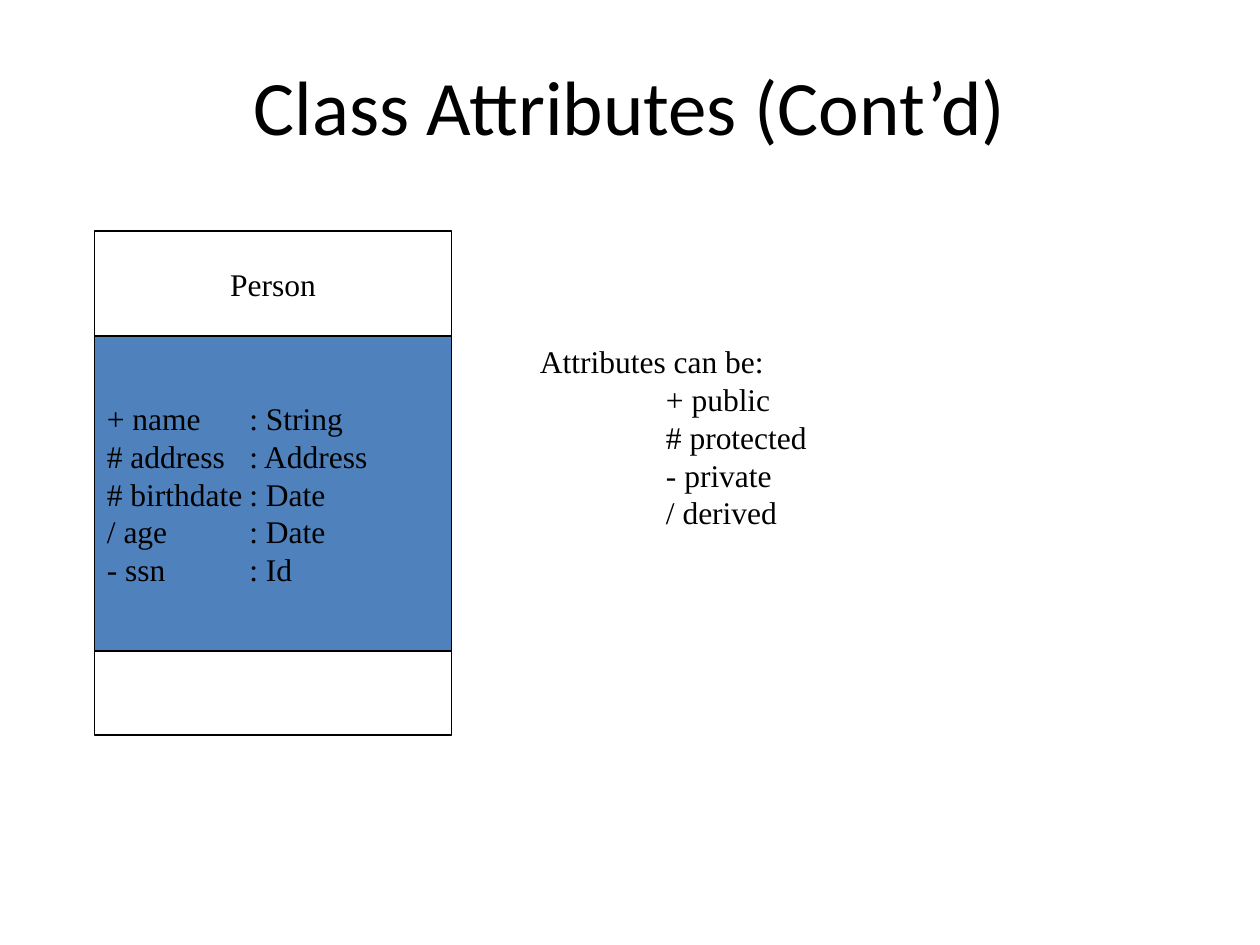
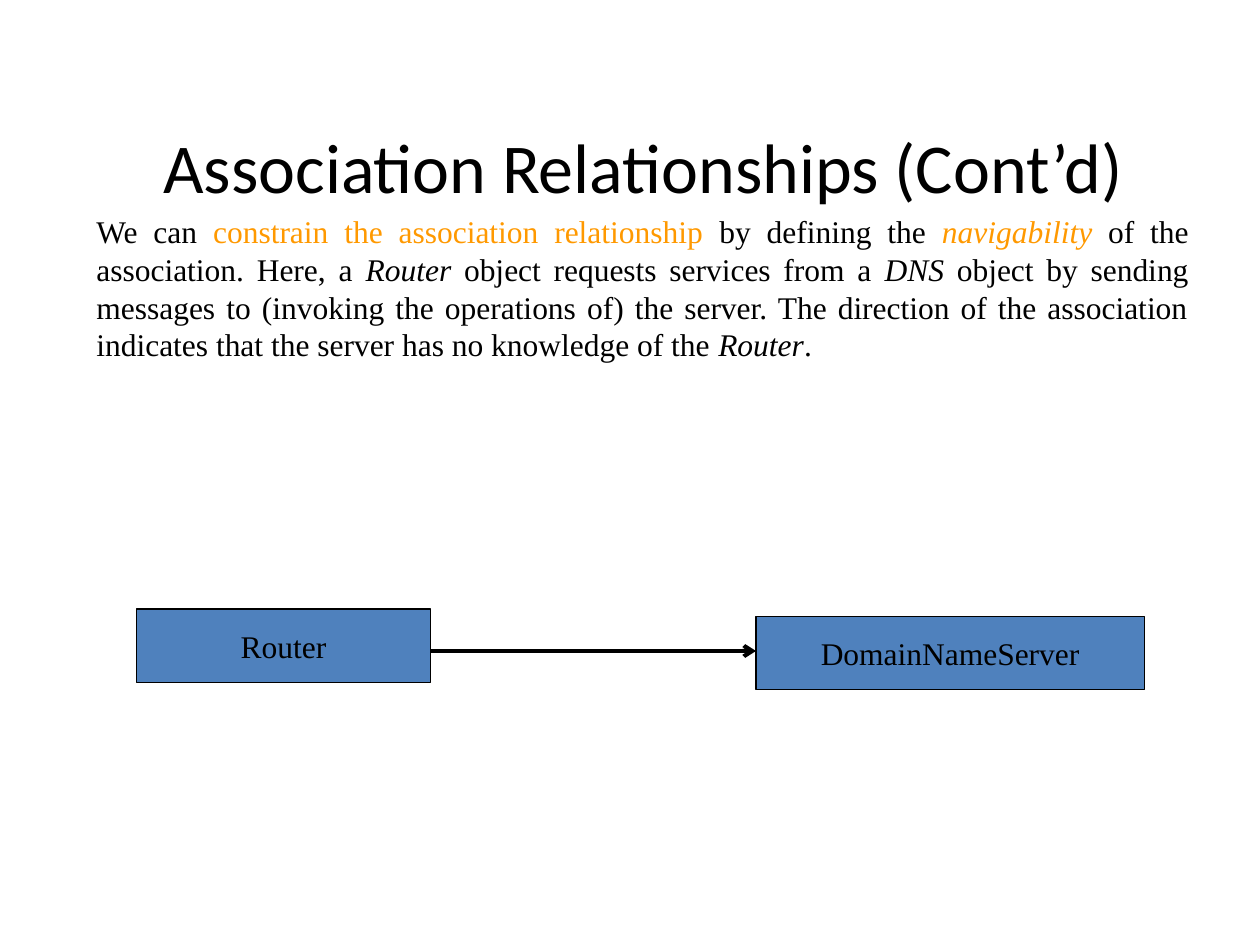
from typing import NamedTuple

from lxml.etree import SubElement
from pptx import Presentation
from pptx.dml.color import RGBColor
from pptx.enum.shapes import MSO_CONNECTOR, MSO_SHAPE
from pptx.enum.text import MSO_ANCHOR, MSO_AUTO_SIZE, PP_ALIGN
from pptx.oxml.ns import qn
from pptx.slide import Slide
from pptx.text.text import TextFrame, _Paragraph as Paragraph
from pptx.util import Inches, Length, Pt

BLACK = RGBColor(0x00, 0x00, 0x00)
WHITE = RGBColor(0xFF, 0xFF, 0xFF)
BLUE = RGBColor(0x4F, 0x81, 0xBD)
ORANGE = RGBColor(0xFF, 0x99, 0x00)
TITLE_FONT = "Calibri"
TEXT_FONT = "Times New Roman"
TEXT_SIZE = 18

WIDTH, HEIGHT = Inches(10), Inches(7.5)
COLUMNS, ROWS = 120, 90
TITLE_ONLY = 5
TYPE_TAB = Inches(1.13)
VISIBILITY_INDENT = Inches(1)


class Area(NamedTuple):
    """A rectangle measured in grid columns and rows."""
    column: float
    row: float
    columns: float
    rows: float


class ClassBox(NamedTuple):
    area: Area
    fill: RGBColor
    lines: tuple[str, ...] = ()
    align: PP_ALIGN = PP_ALIGN.CENTER


class Phrase(NamedTuple):
    text: str
    color: RGBColor = BLACK
    italic: bool = False


PERSON_BOXES = (
    ClassBox(Area(9, 22, 34, 10), WHITE, ("Person",)),
    ClassBox(Area(9, 32, 34, 30), BLUE, (
        "+ name\t: String",
        "# address\t: Address",
        "# birthdate\t: Date",
        "/ age\t: Date",
        "- ssn\t: Id",
    ), PP_ALIGN.LEFT),
    ClassBox(Area(9, 62, 34, 8), WHITE),
)
VISIBILITIES = ("+ public", "# protected", "- private", "/ derived")

SERVICE_BOXES = (
    ClassBox(Area(13, 58, 28, 7), BLUE, ("Router",)),
    ClassBox(Area(72, 58.7, 37, 7), BLUE, ("DomainNameServer",)),
)
NAVIGABILITY = (
    Phrase("We can "),
    Phrase("constrain the association relationship ", ORANGE),
    Phrase("by defining the "),
    Phrase("navigability", ORANGE, True),
    Phrase(" of the association. Here, a "),
    Phrase("Router", italic=True),
    Phrase(" object requests services from a "),
    Phrase("DNS", italic=True),
    Phrase(" object by sending messages to (invoking the operations of) the server. "
           "The direction of the association indicates that the server has no "
           "knowledge of the "),
    Phrase("Router", italic=True),
    Phrase("."),
)


def x(column: float) -> Length:
    return Length(round(WIDTH * column / COLUMNS))


def y(row: float) -> Length:
    return Length(round(HEIGHT * row / ROWS))


def bounds(area: Area) -> tuple[Length, Length, Length, Length]:
    return x(area.column), y(area.row), x(area.columns), y(area.rows)


def style(paragraph: Paragraph, align: PP_ALIGN, size: float = TEXT_SIZE,
          font: str = TEXT_FONT) -> None:
    paragraph.alignment = align
    paragraph.font.name = font
    paragraph.font.size = Pt(size)
    paragraph.font.color.rgb = BLACK


def write_lines(frame: TextFrame, lines: tuple[str, ...], align: PP_ALIGN) -> None:
    frame.text = "\n".join(lines)
    for paragraph in frame.paragraphs:
        if "\t" in paragraph.text:
            tabs = SubElement(paragraph._p.get_or_add_pPr(), qn("a:tabLst"))
            SubElement(tabs, qn("a:tab"), pos=str(TYPE_TAB), algn="l")
        style(paragraph, align)


def add_titled_slide(deck: Presentation, text: str, area: Area, size: float) -> Slide:
    slide = deck.slides.add_slide(deck.slide_layouts[TITLE_ONLY])
    title = slide.shapes.title
    title.left, title.top, title.width, title.height = bounds(area)
    frame = title.text_frame
    frame.text = text
    frame.auto_size = MSO_AUTO_SIZE.NONE
    frame.vertical_anchor = MSO_ANCHOR.MIDDLE
    style(frame.paragraphs[0], PP_ALIGN.CENTER, size, TITLE_FONT)
    return slide


def add_class_box(slide: Slide, box: ClassBox) -> None:
    shape = slide.shapes.add_shape(MSO_SHAPE.RECTANGLE, *bounds(box.area))
    shape.shadow.inherit = False
    shape.fill.solid()
    shape.fill.fore_color.rgb = box.fill
    shape.line.color.rgb = BLACK
    shape.line.width = Pt(0.75)
    shape.text_frame.vertical_anchor = MSO_ANCHOR.MIDDLE
    if box.lines:
        write_lines(shape.text_frame, box.lines, box.align)


def add_text(slide: Slide, area: Area) -> TextFrame:
    frame = slide.shapes.add_textbox(*bounds(area)).text_frame
    frame.word_wrap = True
    return frame


def add_navigation_arrow(slide: Slide, start: float, end: float, row: float) -> None:
    arrow = slide.shapes.add_connector(
        MSO_CONNECTOR.STRAIGHT, x(start), y(row), x(end), y(row))
    arrow.line.color.rgb = BLACK
    arrow.line.width = Pt(2.25)
    SubElement(arrow.line._get_or_add_ln(), qn("a:tailEnd"), type="arrow")
    SubElement(arrow._element.spPr, qn("a:effectLst"))


def build_attributes(deck: Presentation) -> None:
    slide = add_titled_slide(
        deck, "Class Attributes (Cont’d)", Area(8.8, 4, 102.4, 12), 44)
    for box in PERSON_BOXES:
        add_class_box(slide, box)
    legend = add_text(slide, Area(50.25, 32, 31, 19.2))
    write_lines(legend, ("Attributes can be:", *VISIBILITIES), PP_ALIGN.LEFT)
    for visibility in legend.paragraphs[1:]:
        properties = visibility._p.get_or_add_pPr()
        properties.set("marL", str(VISIBILITY_INDENT))
        properties.set("indent", "0")


def build_association(deck: Presentation) -> None:
    slide = add_titled_slide(
        deck, "Association Relationships (Cont’d)", Area(11, 13, 100.5, 5.6), 40)
    explanation = add_text(slide, Area(8, 19.6, 106.4, 15.6)).paragraphs[0]
    style(explanation, PP_ALIGN.JUSTIFY)
    for phrase in NAVIGABILITY:
        run = explanation.add_run()
        run.text = phrase.text
        run.font.name = TEXT_FONT
        run.font.size = Pt(TEXT_SIZE)
        run.font.color.rgb = phrase.color
        run.font.italic = phrase.italic
    router, server = (box.area for box in SERVICE_BOXES)
    add_navigation_arrow(slide, router.column + router.columns, server.column, 62)
    for box in SERVICE_BOXES:
        add_class_box(slide, box)


def main() -> None:
    deck = Presentation()
    deck.slide_width, deck.slide_height = WIDTH, HEIGHT
    build_attributes(deck)
    build_association(deck)
    deck.save("out.pptx")


if __name__ == "__main__":
    main()
